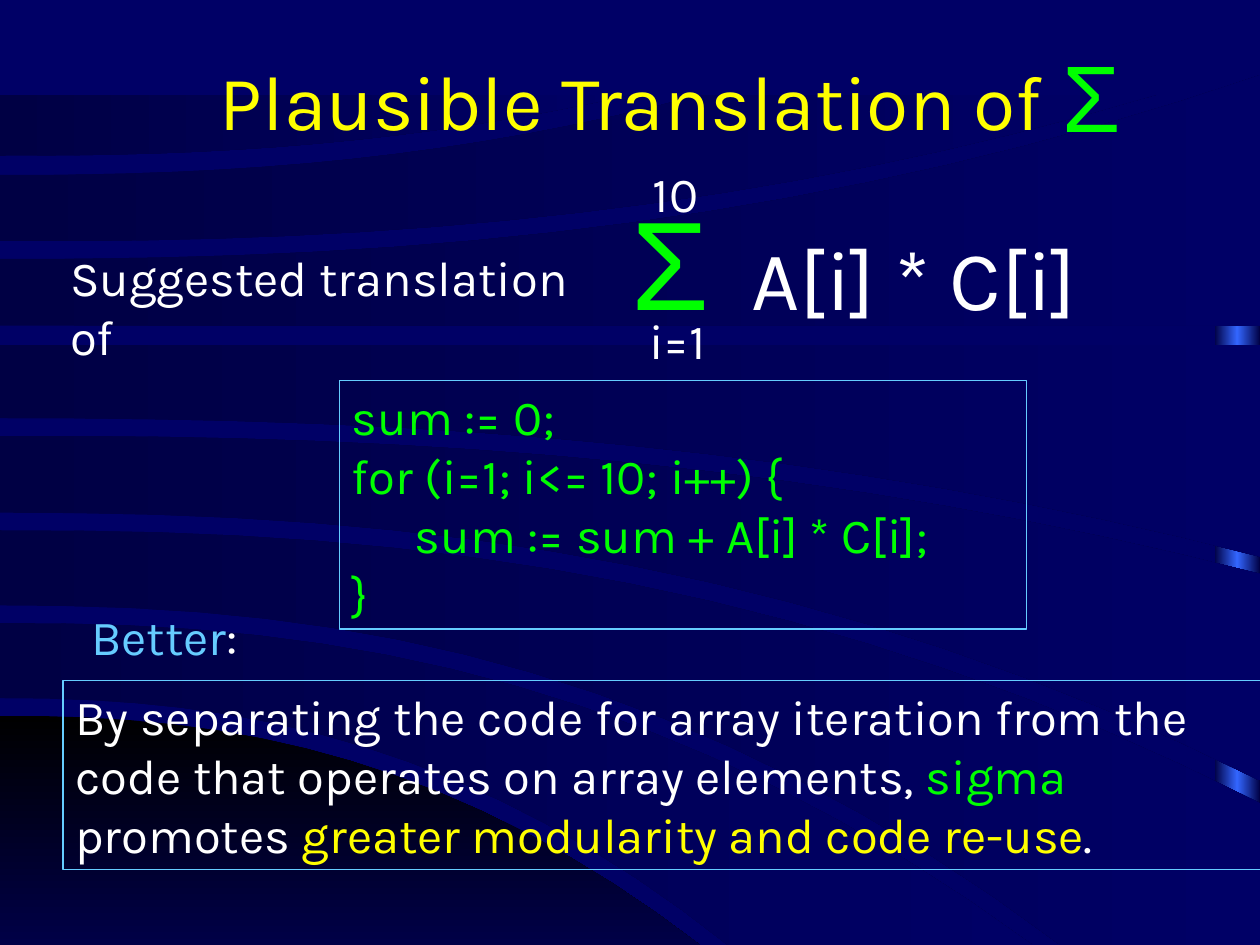
import pptx
import pptx.util
import pptx.dml.color
import pptx.enum.shapes
import pptx.enum.text
from lxml import etree

Pt = pptx.util.Pt
RGB = pptx.dml.color.RGBColor.from_string
RECTANGLE = pptx.enum.shapes.MSO_SHAPE.RECTANGLE
ANCHOR = pptx.enum.text.MSO_ANCHOR
ALIGN = pptx.enum.text.PP_ALIGN

COLORS = {
    "night": "000066", "dusk": "000044", "deep": "000047", "black": "000000",
    "glow": "3366FF", "sky": "66CCFF", "white": "FFFFFF",
    "green": "00FF00", "yellow": "FFFF00",
}

deck = pptx.Presentation()
deck.slide_width, deck.slide_height = Pt(720), Pt(540)
slide = deck.slides.add_slide(deck.slide_layouts[5])
slide.background.fill.solid()
slide.background.fill.fore_color.rgb = RGB(COLORS["night"])


def shade(shape, start, end, angle):
    """Fill a borderless shape with a two-colour gradient."""
    shape.shadow.inherit = False
    shape.line.fill.background()
    shape.fill.gradient()
    shape.fill.gradient_angle = angle
    for stop, color in zip(shape.fill.gradient_stops, (start, end)):
        stop.color.rgb = RGB(COLORS[color])


def write(shape, lines, size, face="Karla"):
    """Write lines, each a list of (text, colour) runs."""
    frame = shape.text_frame
    frame.word_wrap = True
    frame.vertical_anchor = ANCHOR.TOP
    for number, runs in enumerate(lines):
        paragraph = frame.paragraphs[0] if number == 0 else frame.add_paragraph()
        paragraph.alignment = ALIGN.LEFT
        paragraph.font.name = face
        paragraph.font.size = Pt(size)
        for text, color in runs:
            run = paragraph.add_run()
            run.text = text
            run.font.color.rgb = RGB(COLORS[color])


# Glowing right edge: two mirrored halves
for left, start, end in ((694, "dusk", "glow"), (707, "glow", "dusk")):
    edge = slide.shapes.add_shape(RECTANGLE, Pt(left), Pt(55), Pt(13), Pt(485))
    shade(edge, start, end, 0)

# Dark floor and bands: each edge bends from (0, start) to (reach, end)
BEND, STEPS = 2.35, 16
bands = [
    ((409, 400, 540), (540, 400, 540), "black", "deep", 270),
    ((356, 590, 540), (399, 416, 540), "dusk", "night", 0),
    ((303, 720, 459), (346, 606, 540), "dusk", "night", 0),
    ((249, 720, 328), (293, 720, 446), "dusk", "night", 0),
    ((197, 720, 197), (239, 720, 318), "dusk", "night", 0),
    ((148, 720, 43), (186, 720, 186), "dusk", "night", 0),
    ((100, 401, 54), (138, 661, 54), "dusk", "night", 0),
    ((54, 361, 54), (89, 361, 54), "dusk", "night", 0),
]
for upper, lower, start_color, end_color, angle in bands:
    upper_edge, lower_edge = [
        [(reach * step / STEPS, start + (end - start) * (step / STEPS) ** BEND)
         for step in range(STEPS + 1)]
        for start, reach, end in (upper, lower)
    ]
    corner = (max(upper[1], lower[1]), lower[2])
    outline = [(Pt(x), Pt(y))
               for x, y in upper_edge + [corner] + lower_edge[::-1]]
    builder = slide.shapes.build_freeform(*outline[0])
    builder.add_line_segments(outline[1:], close=True)
    shade(builder.convert_to_shape(), start_color, end_color, angle)

# Title, brought in front of the bands
title = slide.shapes.title
title.element.getparent().append(title.element)
title.left, title.top, title.width, title.height = Pt(55), Pt(12), Pt(612), Pt(90)
write(title, [[("Plausible Translation of", "yellow")]], 44)
title.text_frame.vertical_anchor = ANCHOR.MIDDLE
title.text_frame.paragraphs[0].alignment = ALIGN.CENTER

# Labels around the formula
labels = [
    (33, 138, 320, 41, 28, "Karla", [("Suggested translation of", "white")]),
    (364, 174, 57, 41, 28, "Karla", [("i=1", "white")]),
    (366, 90, 46, 41, 28, "Karla", [("10", "white")]),
    (45, 343, 103, 41, 28, "Karla", [("Better", "sky"), (":", "white")]),
    (600, 18, 50, 72, 54, "Arial", [("Σ", "green")]),
]
for left, top, width, height, size, face, runs in labels:
    label = slide.shapes.add_textbox(Pt(left), Pt(top), Pt(width), Pt(height))
    write(label, [runs], size, face)

# Formula: large sigma, then the summand at a tab stop
formula = slide.shapes.add_textbox(Pt(353.5), Pt(102), Pt(301), Pt(94))
summation = formula.text_frame.paragraphs[0]
tabs = etree.SubElement(summation._p.get_or_add_pPr(),
                        pptx.oxml.ns.qn("a:tabLst"))
etree.SubElement(tabs, pptx.oxml.ns.qn("a:tab"), pos=str(Pt(69)), algn="l")
write(formula, [[("Σ", "green"), ("\tA[i] * C[i]", "white")]], 48)
sigma = summation.runs[0]
sigma.font.name = "Arial"
sigma.font.size = Pt(72)

# Framed code and conclusion
code = ["sum := 0;", "for (i=1; i<= 10; i++) {",
        "\tsum := sum + A[i] * C[i];", "}"]
conclusion = [
    [("By separating the code for array iteration from the", "white")],
    [("code that operates on array elements, ", "white"), ("sigma", "green")],
    [("promotes ", "white"), ("greater modularity and code re-use", "yellow"),
     (".", "white")],
]
frames = [
    (194, 217.5, 392.5, 142, [[(line, "green")] for line in code]),
    (36, 389, 685, 108, conclusion),
]
for left, top, width, height, lines in frames:
    panel = slide.shapes.add_shape(RECTANGLE, Pt(left), Pt(top), Pt(width), Pt(height))
    panel.shadow.inherit = False
    panel.fill.background()
    panel.line.color.rgb = RGB(COLORS["sky"])
    panel.line.width = Pt(0.75)
    write(panel, lines, 28)

deck.save("out.pptx")
